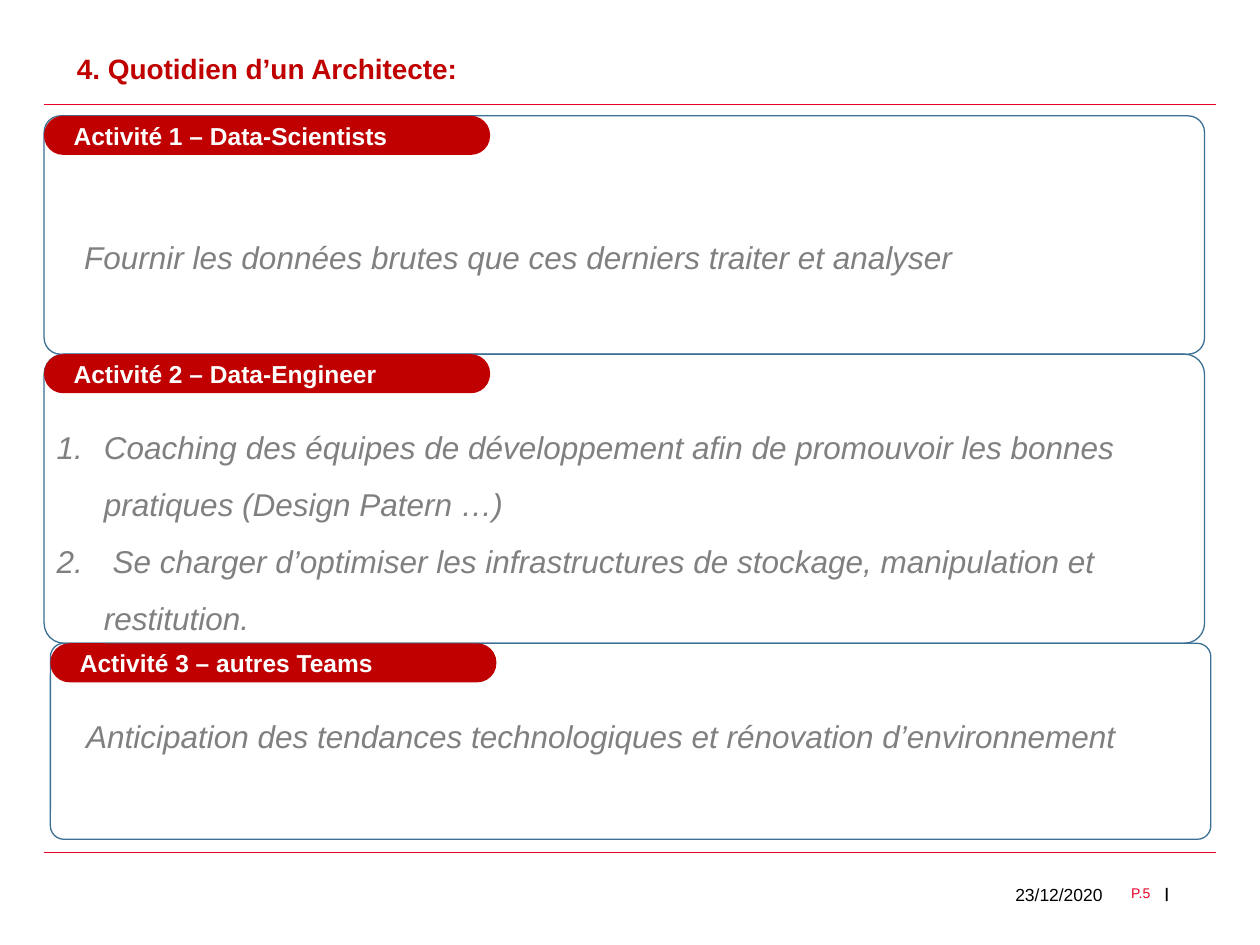
from lxml.etree import SubElement
from pptx import Presentation
from pptx.dml.color import RGBColor
from pptx.enum.shapes import MSO_CONNECTOR, MSO_SHAPE
from pptx.enum.text import MSO_ANCHOR, MSO_AUTO_SIZE, PP_ALIGN
from pptx.oxml.ns import qn
from pptx.util import Pt

RED = RGBColor(0xC0, 0x00, 0x00)
RULE_RED = RGBColor(0xE6, 0x00, 0x28)
BLUE = RGBColor(0x3B, 0x6F, 0x93)
GREY = RGBColor(0x80, 0x80, 0x80)
WHITE = RGBColor(0xFF, 0xFF, 0xFF)
BLACK = RGBColor(0x00, 0x00, 0x00)

TITLE = {"size": Pt(16), "bold": True, "color": RED}
HEADING = {"size": Pt(14), "bold": True, "color": WHITE}
BODY = {"size": Pt(18), "italic": True, "color": GREY}
DATE = {"size": Pt(10), "color": BLACK}
PAGE = {"size": Pt(8), "color": RULE_RED}
DIVIDER = {"size": Pt(8), "bold": True, "color": BLACK}

ACTIVITIES = [
    ("Activité 1 – Data-Scientists", 25.2, 66.2, 136.2),
    ("Activité 2 – Data-Engineer", 25.2, 202.4, 165.2),
    ("Activité 3 – autres Teams", 28.8, 367.6, 112),
]
STATEMENTS = [
    ("Fournir les données brutes que ces derniers traiter et analyser",
     (31, 90.7, 657.4, 68.4), 10),
    ("Anticipation des tendances technologiques et rénovation d’environnement",
     (28.1, 364.3, 668.9, 68.4), 14),
]
TASKS = [
    "Coaching des équipes de développement afin de promouvoir les bonnes "
    "pratiques (Design Patern …)",
    " Se charger d’optimiser les infrastructures de stockage, manipulation et "
    "restitution.",
]
FOOTERS = [
    ("|", (663.8, 505.4, 5.8, 34.6), DIVIDER, PP_ALIGN.CENTER, 0, False),
    ("P.5", (517.7, 505.4, 142.6, 34.6), PAGE, PP_ALIGN.RIGHT, 2.9, True),
    ("23/12/2020", (490.3, 505.4, 142.6, 34.6), DATE, PP_ALIGN.RIGHT, 2.9, True),
]


class SlideBuilder:
    font = "Arial"

    def __init__(self, slide):
        self.slide = slide

    def place(self, shape, bounds):
        for name, value in zip(("left", "top", "width", "height"), bounds):
            setattr(shape, name, Pt(value))

    def frame(self, shape, margins=(0, 0, 0, 0), anchor=MSO_ANCHOR.TOP, wrap=True):
        frame = shape.text_frame
        frame.auto_size = MSO_AUTO_SIZE.NONE
        frame.word_wrap = wrap
        frame.vertical_anchor = anchor
        for side, value in zip(("left", "top", "right", "bottom"), margins):
            setattr(frame, f"margin_{side}", Pt(value))
        return frame

    def fill_paragraph(self, para, text, style, spacing=1.0, align=PP_ALIGN.LEFT):
        layout = {"alignment": align, "line_spacing": spacing, "space_before": Pt(0)}
        for name, value in layout.items():
            setattr(para, name, value)
        span = para.add_run()
        span.text = text
        span.font.name = self.font
        for name, value in style.items():
            if name == "color":
                span.font.color.rgb = value
            else:
                setattr(span.font, name, value)

    def indent(self, para, left, first=0):
        properties = para._p.get_or_add_pPr()
        properties.set("marL", str(Pt(left)))
        properties.set("indent", str(Pt(first)))
        return properties

    def title(self, text, bounds):
        box = self.slide.shapes.title
        self.place(box, bounds)
        frame = self.frame(box, anchor=MSO_ANCHOR.MIDDLE)
        self.fill_paragraph(frame.paragraphs[0], text, TITLE, 0.9)

    def numbered_list(self, items, bounds):
        box = self.slide.placeholders[1]
        self.place(box, bounds)
        frame = self.frame(box, (7.2, 3.6, 7.2, 3.6))
        for index, item in enumerate(items):
            para = frame.add_paragraph() if index else frame.paragraphs[0]
            self.fill_paragraph(para, item, BODY, 1.5)
            properties = self.indent(para, 27, -27)
            SubElement(properties, qn("a:buFont"), typeface="+mj-lt")
            SubElement(properties, qn("a:buAutoNum"), type="arabicPeriod")

    def rule(self, top):
        line = self.slide.shapes.add_connector(
            MSO_CONNECTOR.STRAIGHT, Pt(694.8), Pt(top), Pt(25.2), Pt(top))
        line.line.color.rgb = RULE_RED
        line.line.width = Pt(0.5)
        SubElement(line._element.spPr, qn("a:effectLst"))

    def rounded(self, bounds, roundness):
        shape = self.slide.shapes.add_shape(
            MSO_SHAPE.ROUNDED_RECTANGLE, *map(Pt, bounds))
        shape.adjustments[0] = roundness
        shape.shadow.inherit = False
        return shape

    def panel(self, left, top, height):
        shape = self.rounded((left, top, 663.1, height), 0.069)
        shape.fill.background()
        shape.line.color.rgb = BLUE
        shape.line.width = Pt(0.75)

    def heading(self, text, left, top):
        shape = self.rounded((left, top, 254.9, 22.3), 0.49)
        shape.fill.solid()
        shape.fill.fore_color.rgb = RED
        shape.line.fill.background()
        para = self.frame(shape, anchor=MSO_ANCHOR.MIDDLE).paragraphs[0]
        self.fill_paragraph(para, text, HEADING)
        self.indent(para, 13.7)

    def statement(self, text, bounds, indent):
        box = self.slide.shapes.add_textbox(*map(Pt, bounds))
        para = self.frame(box, (7.2, 34.6, 7.2, 3.6)).paragraphs[0]
        self.fill_paragraph(para, text, BODY, 1.5)
        self.indent(para, indent)

    def footer(self, text, bounds, style, align, right, wrap):
        box = self.slide.shapes.add_textbox(*map(Pt, bounds))
        frame = self.frame(box, (0, 0, right, 0), wrap=wrap)
        self.fill_paragraph(frame.paragraphs[0], text, style, align=align)


def main():
    deck = Presentation()
    deck.slide_width, deck.slide_height = Pt(720), Pt(540)
    page = SlideBuilder(deck.slides.add_slide(deck.slide_layouts[1]))
    for top in (487.4, 59.8):
        page.rule(top)
    page.title("4. Quotidien d’un Architecte:", (43.9, 20.2, 616.3, 39.6))
    for text, left, top, height in ACTIVITIES:
        page.panel(left, top, height)
        page.heading(text, left, top)
    page.numbered_list(TASKS, (25.2, 230.4, 657.4, 133.9))
    for statement in STATEMENTS:
        page.statement(*statement)
    for footer in FOOTERS:
        page.footer(*footer)
    deck.save("out.pptx")


if __name__ == "__main__":
    main()
